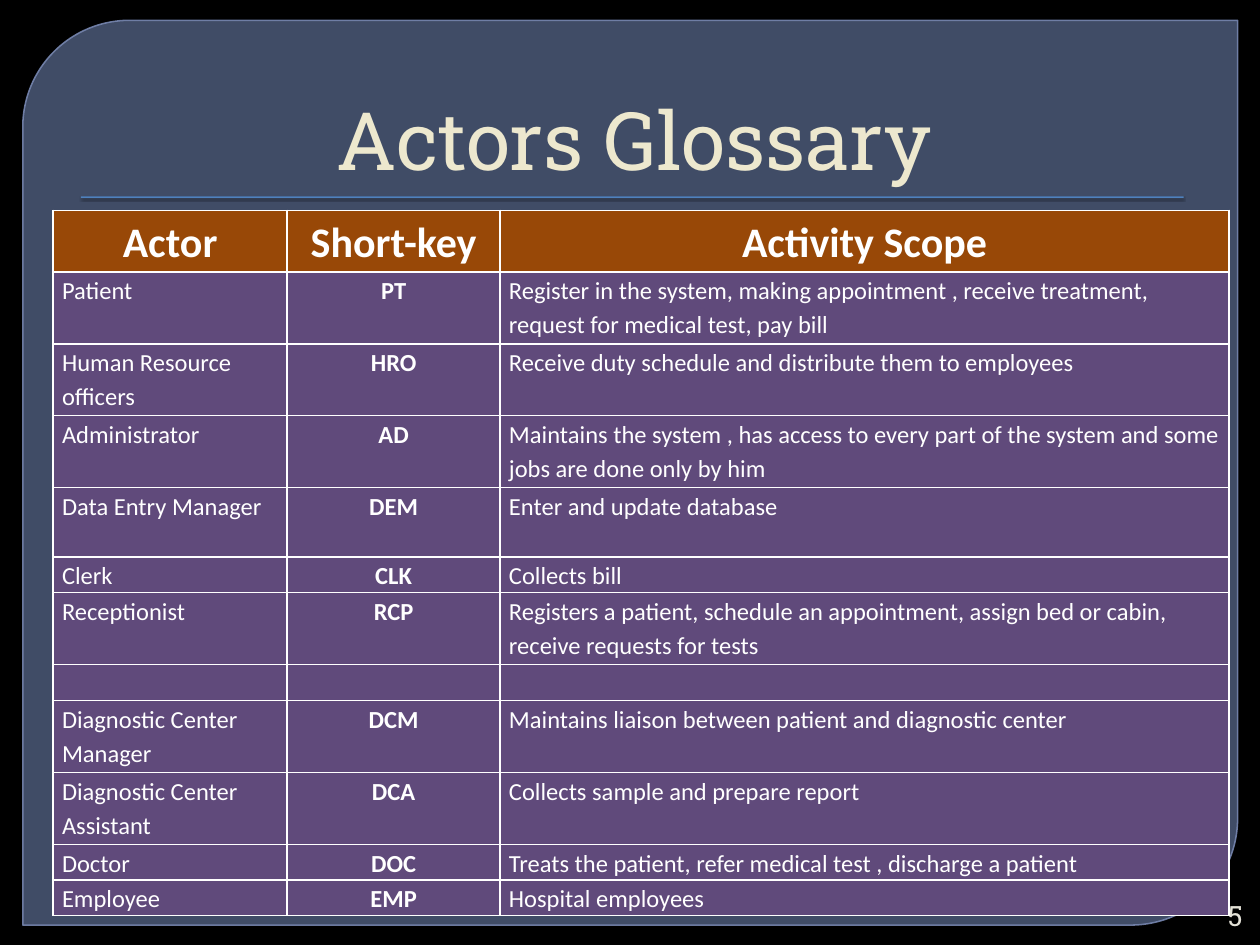
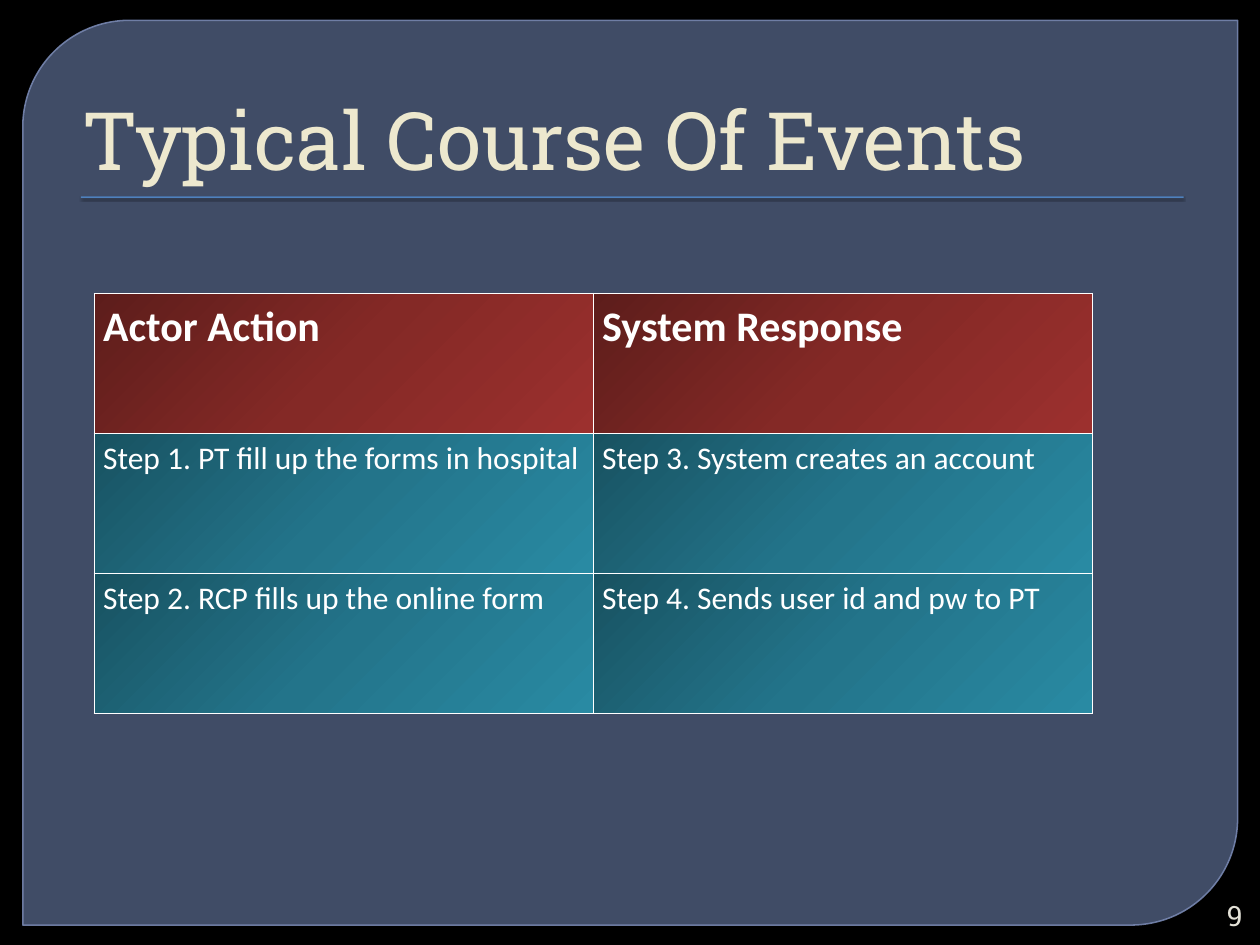
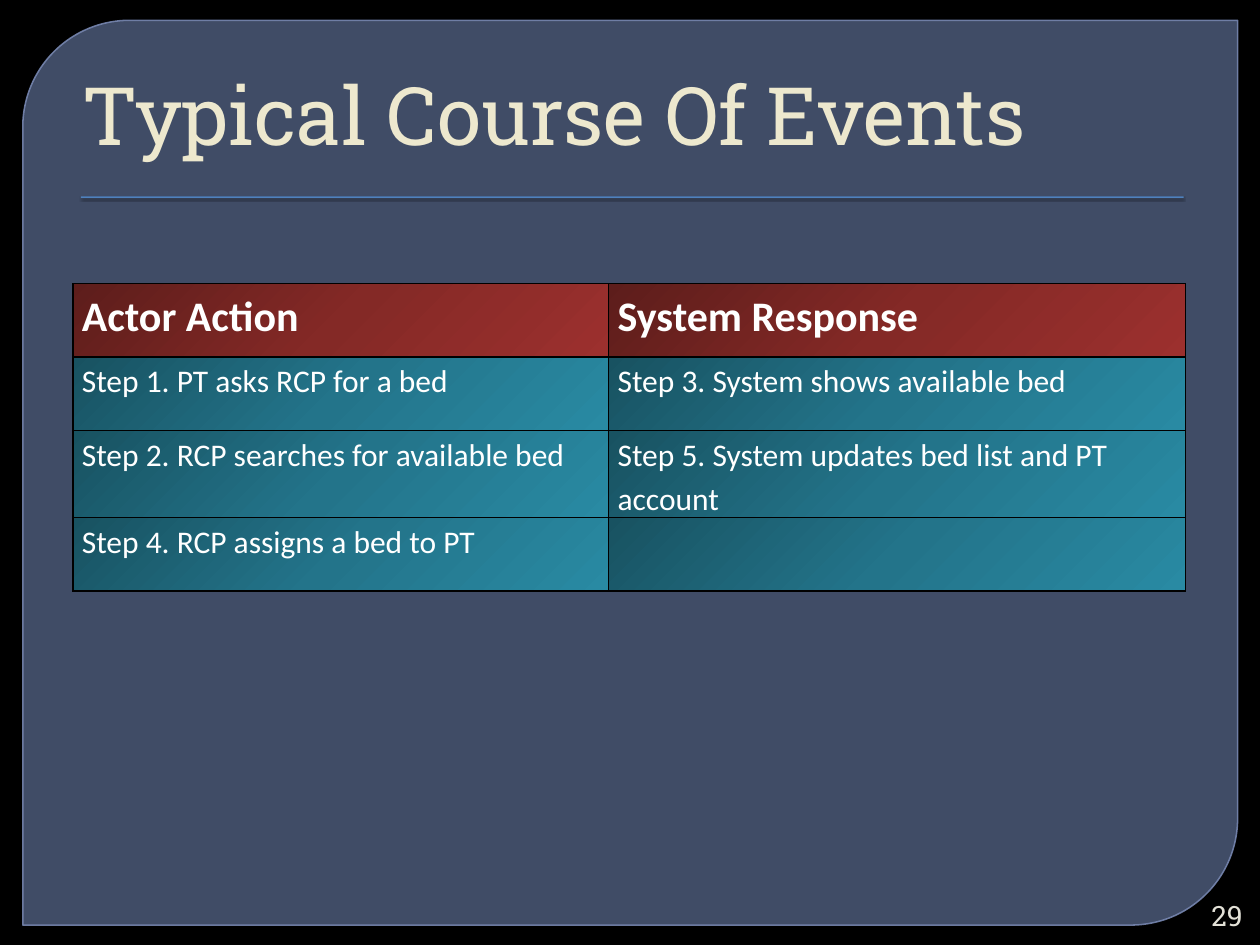
"""Build three hospital system slides: an actors glossary and two courses of events."""
from lxml import etree
from pptx import Presentation
from pptx import util as u
from pptx.dml import color
from pptx.enum import shapes, text
from pptx.oxml import ns

COLOURS = {
    "background": "000000", "panel": "63759D", "panel_line": "7989B3",
    "rule": "4F81BD", "title": "EDE8CE", "number": "E3E1D7",
    "white": "FFFFFF", "black": "000000",
    "glossary_head": "984807", "glossary_body": "604A7B",
}
GRADIENTS = {
    "event_head": ("5D1D1B", "842926", "9C302E"),
    "event_body": ("185261", "23748A", "298AA3"),
}
GLOSSARY = [
    ("Actor", "Short-key", "Activity Scope"),
    ("Patient", "PT", "Register in the system, making appointment , receive treatment, "
                      "request for medical test, pay bill"),
    ("Human Resource\vofficers", "HRO", "Receive duty schedule and distribute them to employees"),
    ("Administrator", "AD", "Maintains the system , has access to every part of the system "
                            "and some jobs are done only by him"),
    ("Data Entry Manager", "DEM", "Enter and update database"),
    ("Clerk", "CLK", "Collects bill"),
    ("Receptionist", "RCP", "Registers a patient, schedule an appointment, assign bed or cabin, "
                            "receive requests for tests"),
    ("", "", ""),
    ("Diagnostic Center\nManager", "DCM",
     "Maintains liaison between patient and diagnostic center"),
    ("Diagnostic Center\vAssistant", "DCA", "Collects sample and prepare report"),
    ("Doctor", "DOC", "Treats the patient, refer medical test , discharge a patient"),
    ("Employee", "EMP", "Hospital employees"),
]
EVENT_HEADINGS = ("Actor Action", "System Response")
ACCOUNT_EVENTS = [
    EVENT_HEADINGS,
    ("Step 1. PT fill up the forms in hospital", "Step 3. System creates an account"),
    ("Step 2. RCP fills up the online form", "Step 4. Sends user id and pw to PT"),
]
BED_EVENTS = [
    EVENT_HEADINGS,
    ("Step 1. PT asks RCP for a bed", "Step 3. System shows available bed"),
    ("Step 2. RCP searches for available bed", "Step 5. System updates bed list and PT account"),
    ("Step 4. RCP assigns a bed to PT", ""),
]
TALL, MEDIUM, SHORT = 1.45, 1.4, 0.72
GLOSSARY_HEIGHTS = [1.24, TALL, TALL, TALL, MEDIUM, SHORT, TALL, SHORT, TALL, TALL, SHORT, SHORT]
LEFT, CENTRE, RIGHT = text.PP_ALIGN.LEFT, text.PP_ALIGN.CENTER, text.PP_ALIGN.RIGHT


def rgb(name):
    """Return the named colour."""
    return color.RGBColor.from_string(COLOURS[name])


def apply(target, values):
    """Set each attribute of the target from a dict."""
    for name, value in values.items():
        setattr(target, name, value)


def add_element(parent, tag, **attributes):
    """Append a drawing element and return it."""
    element = etree.SubElement(parent, ns.qn(tag))
    for name, value in attributes.items():
        element.set(name, str(value))
    return element


def set_alpha(fill, percent):
    """Make a solid fill partly transparent."""
    colour = fill._xPr.find(ns.qn("a:solidFill"))[0]
    add_element(colour, "a:alpha", val=percent * 1000)


def format_paragraph(paragraph, paragraph_values, font_values, colour):
    """Format a paragraph and its runs, or its end mark when it is empty."""
    apply(paragraph, paragraph_values)
    for run in paragraph.runs:
        apply(run.font, font_values)
        run.font.color.rgb = rgb(colour)
    if not paragraph.runs:
        end_mark = add_element(paragraph._p, "a:endParaRPr")
        end_mark.set("sz", str(font_values["size"].centipoints))


def add_shape(slide, kind, place, fill):
    """Add a filled shape without outline or shadow."""
    shape = slide.shapes.add_shape(kind, *map(u.Cm, place))
    shape.shadow.inherit = False
    shape.fill.solid()
    shape.fill.fore_color.rgb = rgb(fill)
    shape.line.fill.background()
    return shape


def add_panel(slide):
    """Add the translucent panel with two rounded corners."""
    panel = add_shape(slide, shapes.MSO_SHAPE.ROUND_2_DIAG_RECTANGLE,
                      (0.46, 0.41, 24.49, 18.24), "panel")
    panel.adjustments[0] = 0.118
    set_alpha(panel.fill, 65)
    panel.line.color.rgb = rgb("panel_line")
    panel.line.width = u.Pt(0.87)
    set_alpha(panel.line.fill, 88)


def add_rule(slide):
    """Add the thin rule with a soft shadow below the title."""
    rule = add_shape(slide, shapes.MSO_SHAPE.RECTANGLE, (1.63, 3.96, 22.23, 0.03), "rule")
    effects = rule._element.spPr.find(ns.qn("a:effectLst"))
    shadow = add_element(effects, "a:outerShdw", blurRad=u.Pt(1), dist=u.Pt(1),
                         dir=5400000, algn="ctr", rotWithShape=0)
    shade = add_element(shadow, "a:srgbClr", val=COLOURS["black"])
    add_element(shade, "a:alpha", val=75000)


def add_text(slide, content, place, size, colour, alignment, frame_values):
    """Add a one-line text box in the heading font."""
    frame = slide.shapes.add_textbox(*map(u.Cm, place)).text_frame
    apply(frame, {"word_wrap": True, **frame_values})
    frame.text = content
    format_paragraph(frame.paragraphs[0], {"alignment": alignment},
                     {"name": "Roboto Slab", "size": u.Pt(size)}, colour)


def add_slide(presentation, title, number, alignment=LEFT, title_place=(1.27, 0.71, 22.86, 3.18)):
    """Add a slide with the shared background, panel, title and number."""
    slide = presentation.slides.add_slide(presentation.slide_layouts[6])
    slide.background.fill.solid()
    slide.background.fill.fore_color.rgb = rgb("background")
    add_panel(slide)
    add_rule(slide)
    add_text(slide, title, title_place, 46, "title", alignment,
             {"vertical_anchor": text.MSO_ANCHOR.BOTTOM, "margin_left": u.Cm(0.4)})
    add_text(slide, str(number), (24, 18.08, 1.3, 0.76), 16, "number", RIGHT,
             {"vertical_anchor": text.MSO_ANCHOR.MIDDLE})
    return slide


def set_borders(cell, colour):
    """Draw a one-point line on each side of a cell."""
    properties = cell._tc.get_or_add_tcPr()
    for side in "LRTB":
        line = add_element(properties, f"a:ln{side}", w=u.Pt(1))
        add_element(add_element(line, "a:solidFill"), "a:srgbClr", val=COLOURS[colour])


def fill_cell(cell, name):
    """Fill a cell with a plain colour or a diagonal gradient."""
    if name in COLOURS:
        cell.fill.solid()
        cell.fill.fore_color.rgb = rgb(name)
        return
    gradient = add_element(cell._tc.get_or_add_tcPr(), "a:gradFill", rotWithShape=1)
    stops = add_element(gradient, "a:gsLst")
    for index, value in enumerate(GRADIENTS[name]):
        stop = add_element(stops, "a:gs", pos=index * 50000)
        add_element(stop, "a:srgbClr", val=value)
    add_element(gradient, "a:lin", ang=2700000, scaled=0)


def add_table(slide, rows, corner, widths, heights, style):
    """Add a table whose first row is a heading."""
    place = map(u.Cm, (*corner, sum(widths), sum(heights)))
    table = slide.shapes.add_table(len(rows), len(widths), *place).table
    apply(table, {"first_row": False, "horz_banding": False})
    for column, width in zip(table.columns, widths):
        column.width = u.Cm(width)
    for row_index, (row, height, contents) in enumerate(zip(table.rows, heights, rows)):
        row.height = u.Cm(height)
        heading = row_index == 0
        for column_index, (cell, content) in enumerate(zip(row.cells, contents)):
            is_key = column_index == style["key_column"]
            centred = is_key or (heading and style["centred_heading"])
            apply(cell, {"margin_left": u.Cm(0.18), "margin_right": u.Cm(0.18),
                         "margin_top": 0, "margin_bottom": 0})
            set_borders(cell, style["border"])
            fill_cell(cell, style["head"] if heading else style["body"])
            cell.text_frame.text = content
            for paragraph in cell.text_frame.paragraphs:
                format_paragraph(
                    paragraph,
                    {"alignment": CENTRE if centred else LEFT, "line_spacing": 1.15},
                    {"name": "Calibri", "size": u.Pt(24 if heading else style["size"]),
                     "bold": heading or is_key},
                    "white")


def main():
    """Build and save the slides."""
    presentation = Presentation()
    apply(presentation, {"slide_width": u.Cm(25.4), "slide_height": u.Cm(19.05)})
    glossary_style = {"head": "glossary_head", "body": "glossary_body", "border": "white",
                      "size": 14, "key_column": 1, "centred_heading": True}
    event_style = {"head": "event_head", "body": "event_body", "border": "white",
                   "size": 18, "key_column": None, "centred_heading": False}

    slide = add_slide(presentation, "Actors Glossary", 5, CENTRE)
    add_table(slide, GLOSSARY, (1.07, 4.24), [4.72, 4.29, 14.7], GLOSSARY_HEIGHTS, glossary_style)

    slide = add_slide(presentation, "Typical Course Of Events", 9)
    add_table(slide, ACCOUNT_EVENTS, (1.9, 5.92), [10.06] * 2, [2.82] * 3, event_style)

    slide = add_slide(presentation, "Typical Course Of Events", 29,
                      title_place=(1.27, 0.64, 22.86, 2.74))
    add_table(slide, BED_EVENTS, (1.47, 5.72), [10.8, 11.63], [1.48] * 4,
              {**event_style, "border": "black"})
    presentation.save("out.pptx")


if __name__ == "__main__":
    main()
